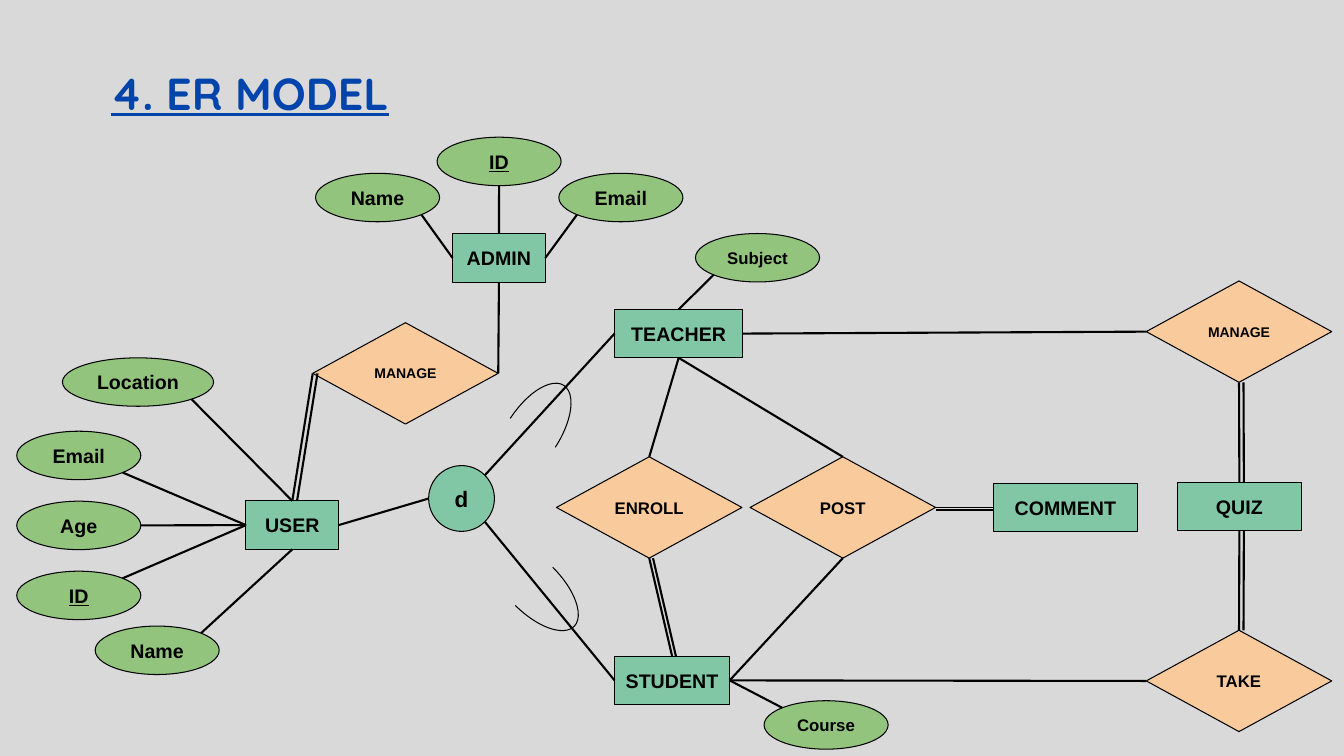
from dataclasses import dataclass

from lxml import etree
from pptx import Presentation
from pptx import util as u
from pptx.dml.color import RGBColor
from pptx.enum import shapes, text
from pptx.oxml.ns import qn

KINDS = shapes.MSO_SHAPE

# Places on an outline as shares of its width and height
DIAGONAL = 0.5 ** 1.5
LOW, HIGH = 0.5 - DIAGONAL, 0.5 + DIAGONAL
SITES = {
    "top": (0.5, 0), "bottom": (0.5, 1), "left": (0, 0.5), "right": (1, 0.5),
    "top left": (LOW, LOW), "top right": (HIGH, LOW),
    "bottom left": (LOW, HIGH), "bottom right": (HIGH, HIGH),
}


@dataclass(frozen=True)
class Theme:
    background: str = "D9D9D9"
    entity: str = "82C7A5"
    attribute: str = "93C47D"
    relation: str = "F9CB9C"
    ink: str = "000000"
    title: str = "0145AC"
    body_font: str = "Arial"
    title_font: str = "Quicksand"
    title_size: float = 32
    circle_size: float = 16
    label_size: float = 14
    small_size: float = 12
    tiny_size: float = 10
    outline: float = 0.75
    link: float = 1.5


class Diagram:
    def __init__(self, slide, theme):
        self.slide = slide
        self.theme = theme
        fill = slide.background.fill
        fill.solid()
        fill.fore_color.rgb = RGBColor.from_string(theme.background)

    def label(self, shape, words, size, font, color, underline=False):
        frame = shape.text_frame
        frame.text = words
        frame.word_wrap = False
        frame.vertical_anchor = text.MSO_ANCHOR.MIDDLE
        style = frame.paragraphs[0].runs[0].font
        style.name, style.size, style.bold = font, u.Pt(size), True
        style.underline = underline
        style.color.rgb = RGBColor.from_string(color)

    def title(self, words, *box):
        shape = self.slide.shapes.add_textbox(*map(u.Pt, box))
        theme = self.theme
        self.label(shape, words, theme.title_size, theme.title_font, theme.title, True)

    def outline(self, kind, *box):
        shape = self.slide.shapes.add_shape(kind, *map(u.Pt, box))
        shape.shadow.inherit = False
        shape.line.color.rgb = RGBColor.from_string(self.theme.ink)
        shape.line.width = u.Pt(self.theme.outline)
        return shape

    def node(self, kind, words, box, color, size, underline=False):
        shape = self.outline(kind, *box)
        shape.fill.solid()
        shape.fill.fore_color.rgb = RGBColor.from_string(color)
        self.label(shape, words, size, self.theme.body_font, self.theme.ink, underline)
        frame = shape.text_frame
        frame.margin_left = frame.margin_right = u.Pt(7.2)
        frame.margin_top = frame.margin_bottom = u.Pt(7.2)
        frame.paragraphs[0].alignment = text.PP_ALIGN.CENTER
        return shape

    def entity(self, words, left, top, width):
        box = (left, top, width, 34.6)
        return self.node(KINDS.RECTANGLE, words, box, self.theme.entity, self.theme.label_size)

    def attribute(self, words, left, top, width=88.6, size=None, key=False):
        box = (left, top, width, 34.6)
        size = size or self.theme.label_size
        return self.node(KINDS.OVAL, words, box, self.theme.attribute, size, key)

    def relation(self, words, left, top, size):
        box = (left, top, 132.5, 72.4)
        return self.node(KINDS.DIAMOND, words, box, self.theme.relation, size)

    def circle(self, words, left, top, side):
        box = (left, top, side, side)
        return self.node(KINDS.FLOWCHART_CONNECTOR, words, box,
                         self.theme.entity, self.theme.circle_size)

    def arc(self, left, top, rotation):
        shape = self.outline(KINDS.ARC, left, top, 81.4, 38.2)
        shape.fill.background()
        shape.adjustments[0], shape.adjustments[1] = 162, 53.28
        shape.rotation = rotation

    def link(self, start, start_site, end, end_site, width=None, shift=(0, 0)):
        points = []
        for shape, site in ((start, start_site), (end, end_site)):
            across, down = SITES[site]
            points.append(int(shape.left + across * shape.width + u.Pt(shift[0])))
            points.append(int(shape.top + down * shape.height + u.Pt(shift[1])))
        line = self.slide.shapes.add_connector(shapes.MSO_CONNECTOR.STRAIGHT, *points)
        line.line.color.rgb = RGBColor.from_string(self.theme.ink)
        line.line.width = u.Pt(width or self.theme.link)
        etree.SubElement(line._element.spPr, qn("a:effectLst"))

    def double_link(self, start, start_site, end, end_site, gap, width=None):
        for shift in ((0, 0), gap):
            self.link(start, start_site, end, end_site, width, shift)


def main():
    presentation = Presentation()
    presentation.slide_width, presentation.slide_height = u.Pt(960), u.Pt(540)
    theme = Theme()
    diagram = Diagram(presentation.slides.add_slide(presentation.slide_layouts[6]), theme)
    diagram.title("4. ER MODEL", 72, 26.6, 223.9, 78.5)

    # Entities
    user = diagram.entity("USER", 175.7, 357.8, 66.2)
    teacher = diagram.entity("TEACHER", 439, 221, 91.6)
    student = diagram.entity("STUDENT", 439, 468.7, 82.2)
    admin = diagram.entity("ADMIN", 323.3, 167, 66.2)
    quiz = diagram.entity("QUIZ", 841, 344.5, 88.6)
    comment = diagram.entity("COMMENT", 709.5, 345.2, 103)

    # Relations and the split of users
    admin_manage = diagram.relation("MANAGE", 223.4, 230.5, theme.tiny_size)
    quiz_manage = diagram.relation("MANAGE", 818.8, 200.7, theme.tiny_size)
    enroll = diagram.relation("ENROLL", 397.5, 326.3, theme.small_size)
    post = diagram.relation("POST", 535.8, 326.3, theme.small_size)
    take = diagram.relation("TAKE", 818.8, 450.2, theme.small_size)
    split = diagram.circle("d", 306.2, 332.6, 47)

    # Attributes, each tied to its entity
    small = theme.small_size
    for shape, site, entity, entity_site in (
        (diagram.attribute("Location", 44.6, 255.6, 108), "bottom right", user, "top"),
        (diagram.attribute("Email", 12, 308), "bottom right", user, "left"),
        (diagram.attribute("Age", 12, 358), "right", user, "left"),
        (diagram.attribute("ID", 12, 408, key=True), "top right", user, "left"),
        (diagram.attribute("Name", 68, 447.2), "top right", user, "bottom"),
        (diagram.attribute("Name", 225.4, 123.8), "bottom right", admin, "left"),
        (diagram.attribute("ID", 312.2, 98, key=True), "bottom", admin, "top"),
        (diagram.attribute("Email", 399.2, 123.8), "bottom left", admin, "right"),
        (diagram.attribute("Subject", 496.8, 166.8, size=small), "bottom left", teacher, "top"),
        (diagram.attribute("Course", 545.8, 500.5, size=small), "top left", student, "right"),
    ):
        diagram.link(shape, site, entity, entity_site)

    # Single links
    for ends in (
        (admin_manage, "right", admin, "bottom"),
        (split, "left", user, "right"),
        (teacher, "left", split, "top right"),
        (student, "left", split, "bottom right"),
        (take, "left", student, "right"),
        (quiz_manage, "left", teacher, "right"),
        (enroll, "top", teacher, "bottom"),
        (post, "top", teacher, "bottom"),
        (post, "bottom", student, "right"),
    ):
        diagram.link(*ends)

    # Double links
    diagram.double_link(user, "top", admin_manage, "left", (3.4, 0))
    diagram.double_link(student, "top", enroll, "bottom", (2.7, 0))
    diagram.double_link(take, "top", quiz, "bottom", (3.2, 0))
    diagram.double_link(quiz, "top", quiz_manage, "bottom", (3.2, 0))
    diagram.double_link(comment, "left", post, "right", (0, 1.8), theme.outline)

    # Subset marks
    diagram.arc(339.8, 290.2, 303.2)
    diagram.arc(340.6, 399.6, 45)

    presentation.save("out.pptx")


if __name__ == "__main__":
    main()
